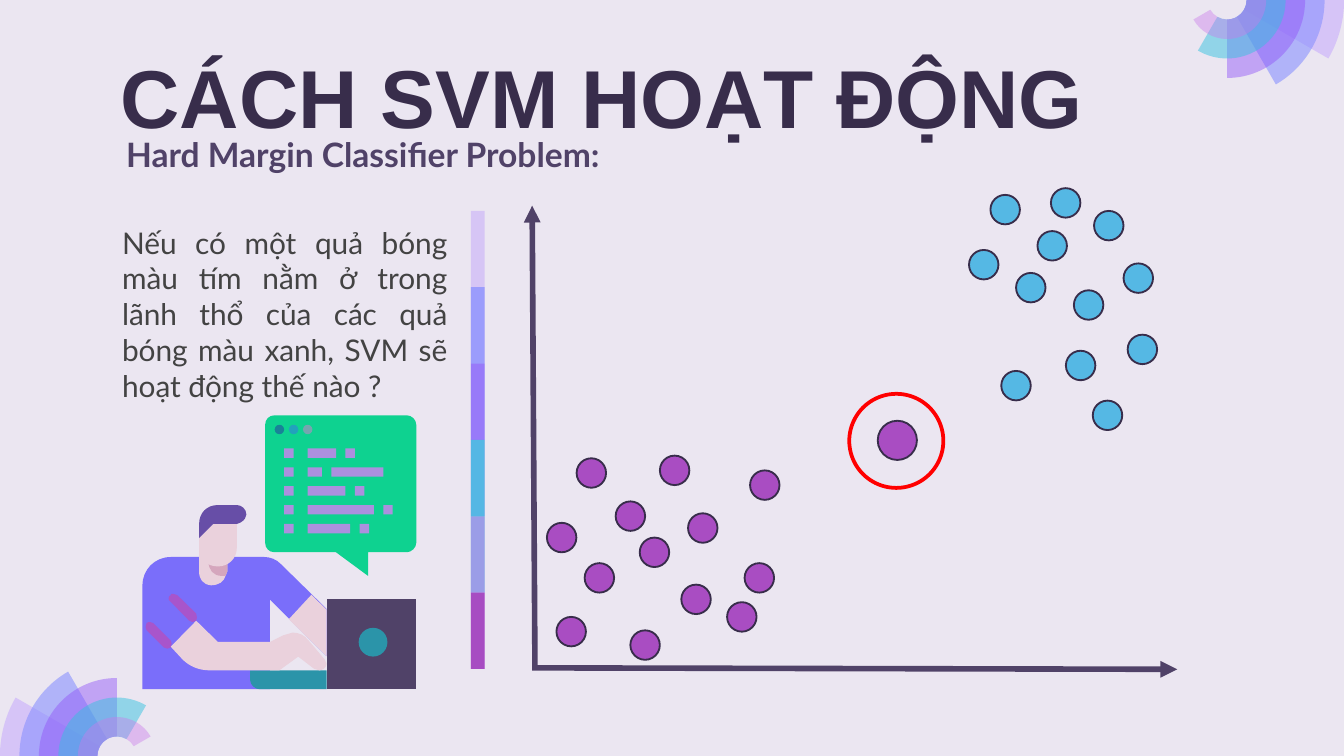
import math

from lxml import etree
from pptx import Presentation
from pptx import util as u
from pptx.dml.color import RGBColor
from pptx.enum import shapes, text
from pptx.oxml import ns

INK, PLUM, PURPLE, BLUE, SKIN = "382D4B", "504268", "A94DC2", "55B8E4", "EAD1DC"
FAN_BANDS = [("C8ACFD", 58), ("878FFF", 58), ("9154F8", 46), ("35C2DF", 49), ("CA7BEB", 42)]
BAR_BANDS = [("C8AEF8", 59), ("878FFF", 74), ("9154F8", 53),
             ("35C2DF", 76), ("CA7BEB", 56), ("972CB4", 74)]
PURPLE_BALLS = [
    (298.1, 330.5), (313.2, 301.7), (293, 280.1), (308.9, 245.5), (329.8, 268.6),
    (342.7, 288), (365, 313.2), (337.7, 337.7), (353.5, 244.1), (368.6, 275),
    (401.8, 252), (398.9, 301.7), (389.5, 322.6)]
BLUE_BALLS = [
    (586.1, 113), (601.9, 141.1), (604.1, 179.3), (585.4, 214.6), (536.4, 198.7),
    (575.3, 155.5), (571, 187.9), (544.3, 146.2), (555.8, 123.8), (563, 100.8),
    (530.6, 104.4), (519.1, 133.9)]

GRID, GRID_LEFT, GRID_TOP = 2.53, 76.3, 222.5
SHIRT = [(6, 30), (2.6, 30, 0, 32.7, 0, 36), (0, 58), (27, 58), (27, 39), (39, 51),
         (39, 41), (29.3, 31.5), (28.4, 30.5, 27, 30, 25.8, 30)]
LOWER_STRIPE = [(1.7, 43.8), (1.4, 43.8, 1.1, 43.8, 0.9, 44), (0.6, 44.6, 0.6, 45.2, 0.9, 45.5),
                (4.6, 49.2), (5, 49.5, 5.6, 49.5, 6, 49.2), (6.3, 48.6, 6.3, 48, 6, 47.7),
                (2.3, 44)]
UPPER_STRIPE = [(6.5, 37.8), (6.2, 37.8, 6, 37.8, 6, 38.1), (5.4, 38.4, 5.4, 39.2, 6, 39.5),
                (9.9, 43.5), (10.3, 43.9, 11, 43.9, 11.4, 43.5),
                (11.6, 43.2, 11.6, 42.6, 11.4, 42), (7.4, 38.1)]
LAPTOP = [(39, 39), (39, 58), (58, 58), (58, 39)]
KEYBOARD = [(22.8, 54), (22.8, 56), (22.8, 57.1, 23.9, 58, 24.8, 58), (39, 58), (39, 54)]
NECK = [(12, 27), (12, 33), (12, 34.7, 12.8, 35.8, 14.5, 36),
        (16.2, 36, 17.3, 35.2, 17.6, 34), (18, 33), (18, 27)]
NECK_SHADE = [(14, 27), (14, 31), (14, 32.7, 15, 34, 16.8, 34), (17.6, 34), (18, 33), (18, 27)]
NEAR_ARM = [(11.4, 43.5), (6, 49), (8.5, 51.7), (9.9, 53.1, 11.9, 54, 14.2, 54), (29, 54),
            (33, 51.1), (36.4, 53.7), (37.5, 54), (38.1, 54, 39, 53.4, 39, 52.6),
            (38.6, 51.7), (35.2, 47.7), (34.4, 46.6, 33.2, 46, 31.8, 46), (29.8, 46.6),
            (27, 48), (16, 48)]
FAR_ARM = [(35.8, 38), (31, 43.2), (39, 51), (39, 41.2)]
BUBBLE = [(28, 0), (26.8, 0, 26, 0.9, 26, 2), (26, 27), (26, 28.1, 26.8, 29, 28, 29),
          (41, 29), (47.8, 34), (47.8, 29), (56, 29), (57, 29, 58, 28, 58, 27),
          (58, 2), (58, 0.9, 57, 0, 56, 0)]
FACE = [(15, 23), (12, 26), (12, 28), (12, 30.4, 13.6, 32, 16, 32),
        (18.2, 32, 20, 30.4, 20, 28), (20, 23)]
HAIR = [(16, 19), (13.6, 19, 12, 20.7, 12, 23), (12, 26), (15, 23), (20, 23), (20.8, 22.7),
        (21.6, 22.2, 22, 21.6, 22, 21), (22, 19.9, 21, 19, 20, 19)]
CODE_ROWS = [[(0, 2), (5, 6), (13, 2)], [(0, 2), (5, 3), (10, 11)], [(0, 2), (5, 8), (15, 2)],
             [(0, 2), (5, 14), (21, 2)], [(0, 2), (5, 9), (16, 2)]]
CODE_TILES = [[(x, y), (x, y + 2), (x + width, y + 2), (x + width, y)]
              for row, tiles in enumerate(CODE_ROWS)
              for x, y, width in [(30 + column, 7 + 4 * row, width) for column, width in tiles]]
WORKER = [("7A6EFA", [SHIRT]), ("A855CB", [LOWER_STRIPE, UPPER_STRIPE]), (PLUM, [LAPTOP]),
          ("2B94A9", [KEYBOARD]), (SKIN, [NECK]), ("D5A6BD", [NECK_SHADE]),
          (SKIN, [NEAR_ARM]), (SKIN, [FAR_ARM]), ("0ED290", [BUBBLE]),
          ("AB90DE", CODE_TILES), (SKIN, [FACE]), ("674EA7", [HAIR])]


def colour(value):
    """Turn a hex string into a colour."""
    return RGBColor.from_string(value)


def apply(target, values):
    """Set each attribute named in values on target."""
    for name, value in values.items():
        setattr(target, name, value)


def paint(shape, fill=None, alpha=100, line=None, weight=1):
    """Give a shape its fill, opacity and outline."""
    shape.shadow.inherit = False
    if fill:
        shape.fill.solid()
        shape.fill.fore_color.rgb = colour(fill)
        if alpha < 100:
            node = shape._element.spPr.xpath("./a:solidFill/a:srgbClr")[0]
            etree.SubElement(node, ns.qn("a:alpha"), val=str(alpha * 1000))
    else:
        shape.fill.background()
    if line:
        shape.line.color.rgb = colour(line)
        shape.line.width = u.Pt(weight)
    else:
        shape.line.fill.background()


def add_preset(canvas, kind, left, top, width, height, **style):
    """Add a painted preset shape."""
    box = [u.Pt(value) for value in (left, top, width, height)]
    paint(canvas.add_shape(kind, *box), **style)


def add_disc(canvas, left, top, size, **style):
    """Add a painted circle."""
    add_preset(canvas, shapes.MSO_SHAPE.OVAL, left, top, size, size, **style)


def add_outline(canvas, contours, place, **style):
    """Add closed contours whose six-number steps are cubic curves."""
    builder = None
    for contour in contours:
        start, *points = [tuple(map(u.Pt, place(*step[i:i + 2])))
                          for step in contour for i in range(0, len(step), 2)]
        if builder:
            builder.move_to(*start)
        else:
            builder = canvas.build_freeform(*start)
        builder.add_line_segments(points, close=True)
    shape = builder.convert_to_shape()
    segments = iter(shape._element.spPr.xpath(".//a:lnTo"))
    for step in (step for contour in contours for step in contour[1:]):
        segment = next(segments)
        if len(step) == 6:
            segment.tag = ns.qn("a:cubicBezTo")
            for extra in (next(segments), next(segments)):
                segment.append(extra[0])
                extra.getparent().remove(extra)
    paint(shape, **style)


def arc_steps(radius, stops):
    """Return the start point of an arc and a cubic step to each stop."""
    def at(angle, bend=0):
        return (radius * (math.cos(angle) - bend * math.sin(angle)),
                radius * (math.sin(angle) + bend * math.cos(angle)))

    angles = [math.radians(stop) for stop in stops]
    steps = [at(angles[0])]
    for first, last in zip(angles, angles[1:]):
        bend = 4 / 3 * math.tan((last - first) / 4)
        steps.append(at(first, bend) + at(last, -bend) + at(last))
    return steps


def add_fan(slide, centre_x, centre_y, start, unit=10.44):
    """Add ring sectors that get smaller and sweep wider."""
    group = slide.shapes.add_group_shape()
    for index, (fill, alpha) in enumerate(FAN_BANDS):
        sweep = 30 * (index + 1)
        stops = [start + turn for turn in sorted({0, min(90, sweep), sweep})]
        ring = arc_steps(unit * (6 - index), stops) + arc_steps(unit, stops[::-1])
        add_outline(group.shapes, [ring], lambda x, y: (centre_x + x, centre_y + y),
                    fill=fill, alpha=alpha)


def add_bar(slide, top=113, step=40.9):
    """Add the overlapping translucent bands of the divider."""
    group = slide.shapes.add_group_shape()
    for index, (fill, alpha) in enumerate(BAR_BANDS):
        height = step * min(2, len(BAR_BANDS) - index)
        add_preset(group.shapes, shapes.MSO_SHAPE.RECTANGLE, 252.2, top + step * index,
                   7.4, height, fill=fill, alpha=alpha)


def add_axis(slide, *ends):
    """Add an axis line with an arrowhead at its end."""
    line = slide.shapes.add_connector(shapes.MSO_CONNECTOR.STRAIGHT, *map(u.Pt, ends))
    line.line.color.rgb = colour(PLUM)
    line.line.width = u.Pt(3)
    etree.SubElement(line.line._get_or_add_ln(), ns.qn("a:tailEnd"), type="triangle")
    etree.SubElement(line._element.spPr, ns.qn("a:effectLst"))


def add_text(slide, box, wording, font, ink, frame=None, align=text.PP_ALIGN.LEFT):
    """Add a wrapped text box of one paragraph."""
    shape = slide.shapes.add_textbox(*map(u.Pt, box))
    apply(shape.text_frame, {"word_wrap": True, **(frame or {})})
    paragraph = shape.text_frame.paragraphs[0]
    paragraph.text = wording
    paragraph.alignment = align
    apply(paragraph.font, font)
    paragraph.font.color.rgb = colour(ink)


def add_worker(slide):
    """Add the worker at a laptop with a speech bubble of code."""
    def place(x, y):
        return GRID_LEFT + GRID * x, GRID_TOP + GRID * y

    canvas = slide.shapes.add_group_shape().shapes
    for fill, contours in WORKER:
        add_outline(canvas, contours, place, fill=fill)
    add_disc(canvas, *place(45.8, 45), 6.1 * GRID, fill="2B94A9")
    for index, fill in enumerate(("198298", "22A2BC", "76A5AF")):
        add_disc(canvas, *place(28 + 3 * index, 2), 2 * GRID, fill=fill)


def main():
    """Build the slide and save it."""
    presentation = Presentation()
    apply(presentation, {"slide_width": u.Pt(720), "slide_height": u.Pt(405)})
    slide = presentation.slides.add_slide(presentation.slide_layouts[6])
    slide.background.fill.solid()
    slide.background.fill.fore_color.rgb = colour("EBE6F1")

    add_fan(slide, 62.6, 405, 180)
    add_fan(slide, 657.4, 0, 0)
    add_text(slide, (57.6, 13.7, 607, 45.4), "CÁCH SVM HOẠT ĐỘNG",
             {"name": "Arial", "size": u.Pt(44), "bold": True}, INK,
             {"margin_top": u.Pt(11.3)})
    add_bar(slide)
    add_text(slide, (58.3, 116.6, 188.6, 104.4),
             "Nếu có một quả bóng màu tím nằm ở trong lãnh thổ của các quả bóng màu xanh, "
             "SVM sẽ hoạt động thế nào ?",
             {"name": "Lato", "size": u.Pt(16)}, "434343", align=text.PP_ALIGN.JUSTIFY)
    add_axis(slide, 286.6, 358.6, 285.1, 110.2)
    add_axis(slide, 285.1, 357.8, 630.7, 358.6)
    for fill, balls in ((PURPLE, PURPLE_BALLS), (BLUE, BLUE_BALLS)):
        canvas = slide.shapes.add_group_shape().shapes
        for left, top in balls:
            add_disc(canvas, left, top, 15.8, fill=fill, line=INK)
    add_worker(slide)
    add_disc(slide.shapes, 470.2, 225.4, 21, fill=PURPLE, line=INK)
    add_disc(slide.shapes, 455, 211, 50.4, line="FF0000", weight=2)
    add_text(slide, (60.5, 68.4, 304.6, 28.8), "Hard Margin Classifier Problem:",
             {"name": "Lato", "size": u.Pt(18), "bold": True}, PLUM)
    presentation.save("out.pptx")


if __name__ == "__main__":
    main()
